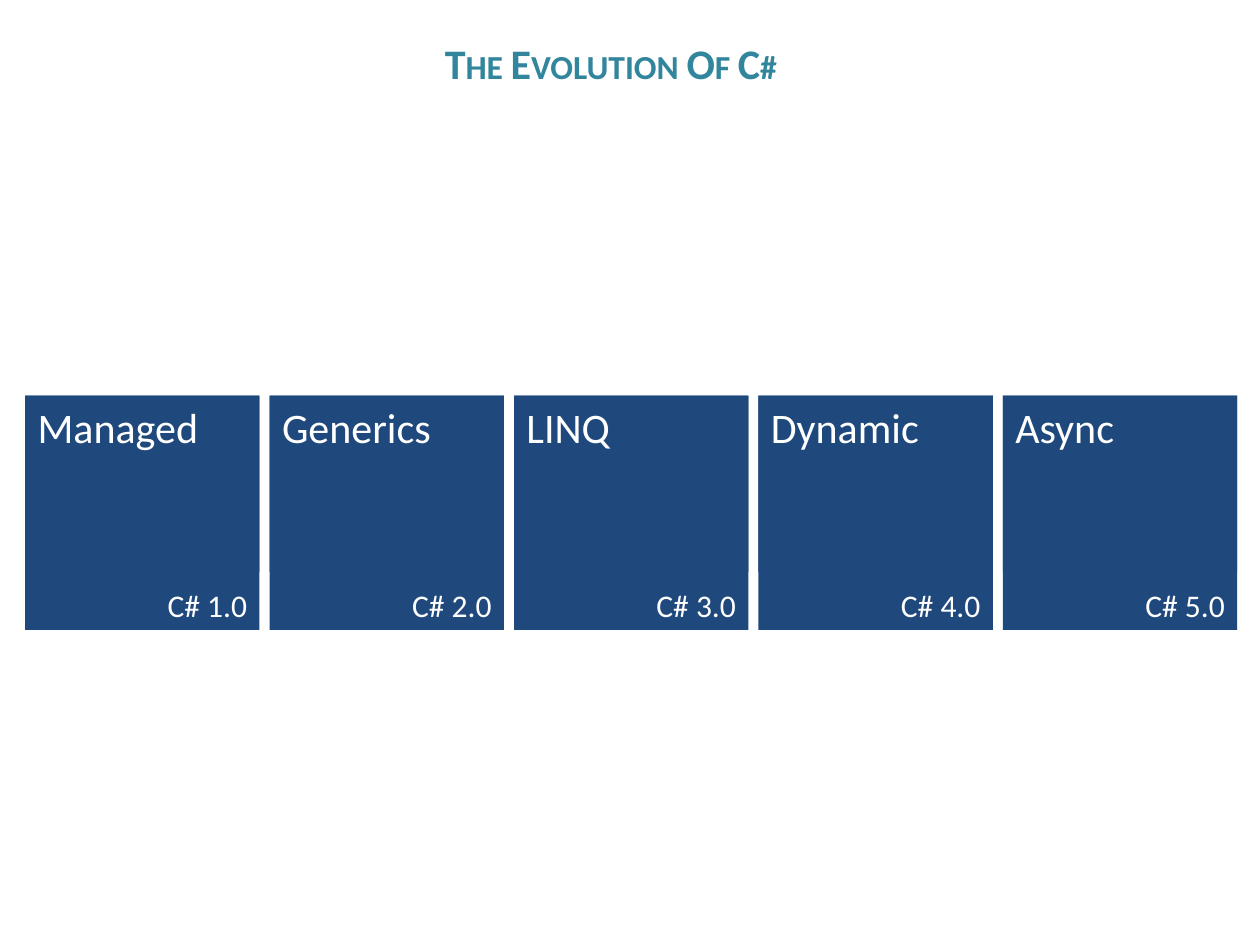
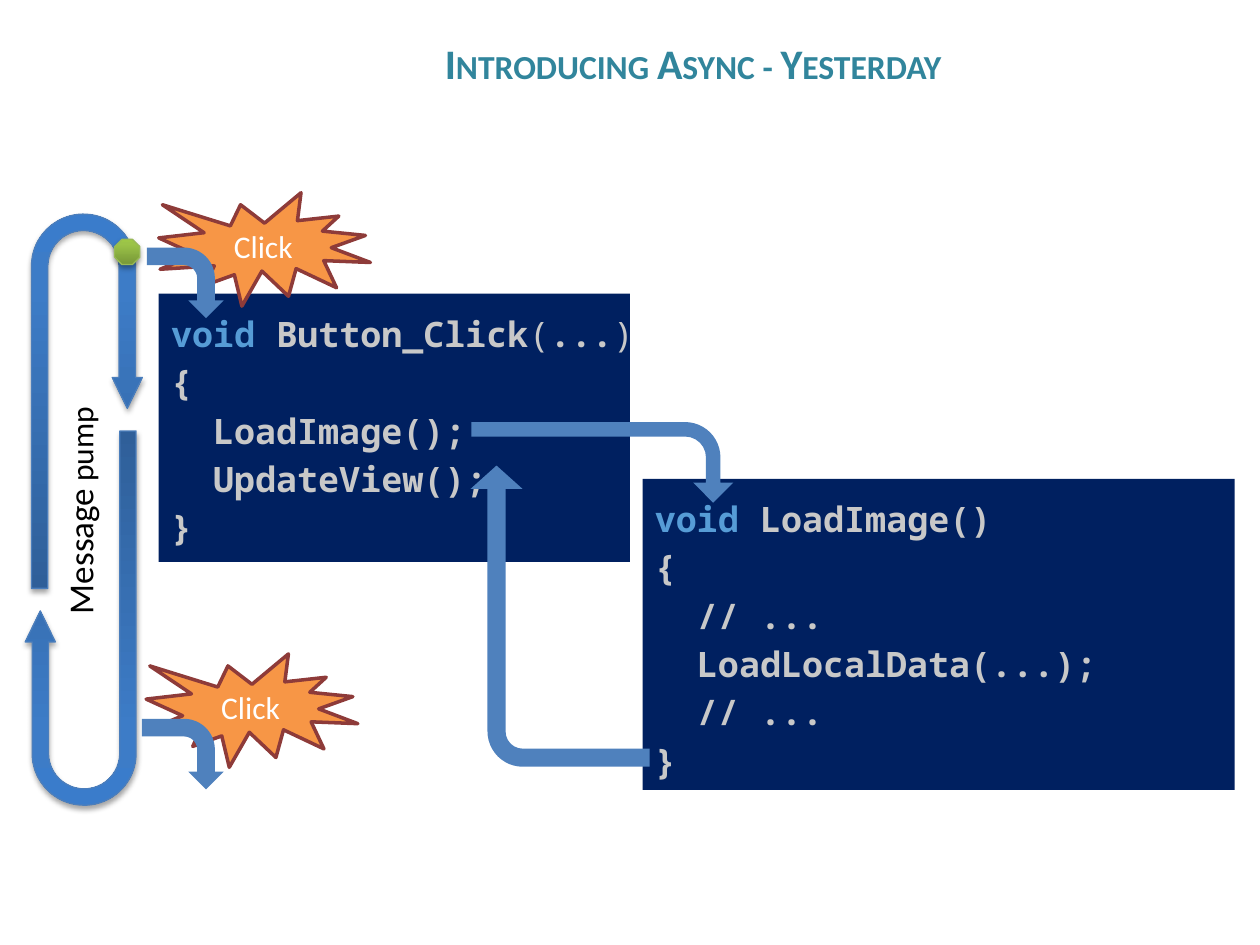
"""Builds two slides on the evolution of C# and its asynchronous calls."""
from copy import deepcopy

from lxml import etree
from pptx import Presentation
from pptx.dml.color import RGBColor
from pptx.enum.shapes import MSO_SHAPE
from pptx.enum.text import MSO_ANCHOR, MSO_AUTO_SIZE, PP_ALIGN
from pptx.oxml.ns import qn
from pptx.util import Inches, Pt

RECTANGLE, OCTAGON = MSO_SHAPE.RECTANGLE, MSO_SHAPE.OCTAGON
BURST, BENT_ARROW, U_TURN = MSO_SHAPE.EXPLOSION1, MSO_SHAPE.BENT_ARROW, MSO_SHAPE.U_TURN_ARROW
TOP, MIDDLE, BOTTOM = MSO_ANCHOR.TOP, MSO_ANCHOR.MIDDLE, MSO_ANCHOR.BOTTOM
LEFT, CENTER, RIGHT = PP_ALIGN.LEFT, PP_ALIGN.CENTER, PP_ALIGN.RIGHT
GROW = MSO_AUTO_SIZE.SHAPE_TO_FIT_TEXT

BODY_FONT, CODE_FONT = "Calibri", "Noto Sans Mono"
COLORS = {
    "title": "31859C", "tile": "1F497D", "white": "FFFFFF", "black": "000000",
    "burst": "F79646", "burst_edge": "8E3B39", "arrow": "4F81BD",
    "code_back": "002060", "keyword": "569CD6", "code": "C8C8C8",
    "loop_edge": "4B7EBC", "marker_edge": "98B955",
}
LOOP_GRADIENT = ("2F5F99", "3D7CC7", "3A7CCB")
MARKER_GRADIENT = ("779737", "9BC348", "9DC746")
GRADIENT_POSITIONS = (0, 0.8, 1)

FEATURES = ("Managed", "Generics", "LINQ", "Dynamic", "Async")
TILE_LEFT, TILE_TOP, TILE_SIZE, TILE_STEP, LABEL_HEIGHT = 0.2, 3.14, 1.86, 1.94, 1.4
LOOP_ADJUSTMENTS = (0.147, 0.136, 0.279, 0.469, 0.519)

BUTTON_CLICK = (
    (("void ", "keyword", True), ("Button_Click", "code", True), ("(", "code", False),
     ("...", "code", True), (")", "code", False)),
    (("{", "code", True),),
    (("  LoadImage();", "code", True),),
    (("  UpdateView();", "code", True),),
    (("}", "code", True),),
)
LOAD_IMAGE = (
    (("void ", "keyword", True), ("LoadImage()", "code", True)),
    (("{", "code", True),),
    (("  // ...", "code", True),),
    (("  LoadLocalData(...);", "code", True),),
    (("  // ...", "code", True),),
    (("}", "code", True),),
)


def rgb(name):
    """Return the named colour."""
    return RGBColor.from_string(COLORS[name])


def add_run(paragraph, text, size, color, font=BODY_FONT, bold=False):
    """Append a formatted run to a paragraph."""
    run = paragraph.add_run()
    run.text = text
    run.font.size = Pt(size)
    run.font.name = font
    run.font.bold = bold
    run.font.color.rgb = rgb(color)
    return run


def add_titled_slide(deck, text):
    """Add a slide with the shared small-caps title."""
    slide = deck.slides.add_slide(deck.slide_layouts[5])
    title = slide.shapes.title
    title.left, title.top, title.width, title.height = map(Inches, (3.43, 0, 6.57, 0.99))
    title.text_frame.vertical_anchor = MIDDLE
    paragraph = title.text_frame.paragraphs[0]
    paragraph.alignment = LEFT
    run = add_run(paragraph, text, 24, "title", bold=True)
    run.font._element.set("cap", "small")
    return slide


def add_figure(slide, kind, box, fill=None, rotation=0, adjustments=()):
    """Add a flat preset shape without an outline."""
    figure = slide.shapes.add_shape(kind, *map(Inches, box))
    figure.shadow.inherit = False
    figure.line.fill.background()
    figure.rotation = rotation
    for index, value in enumerate(adjustments):
        figure.adjustments[index] = value
    if fill:
        figure.fill.solid()
        figure.fill.fore_color.rgb = rgb(fill)
    return figure


def outline(figure, color, width):
    """Give a shape a solid outline."""
    figure.line.color.rgb = rgb(color)
    figure.line.width = Pt(width)


def add_glossy(slide, kind, box, gradient, edge, rotation=0, adjustments=()):
    """Add a shape with an upward gradient, thin outline and soft shadow."""
    figure = add_figure(slide, kind, box, None, rotation, adjustments)
    figure.fill.gradient()
    figure.fill.gradient_angle = 90
    properties = figure._element.spPr
    stop_list = properties.find(".//" + qn("a:gsLst"))
    stop_list.append(deepcopy(stop_list[-1]))
    for stop, position, color in zip(figure.fill.gradient_stops, GRADIENT_POSITIONS, gradient):
        stop.position = position
        stop.color.rgb = RGBColor.from_string(color)
    outline(figure, edge, 0.75)
    shadow = etree.SubElement(
        properties.find(qn("a:effectLst")), qn("a:outerShdw"),
        blurRad=str(Pt(3.1)), dist=str(Pt(1.8)), dir="5400000", rotWithShape="0")
    shade = etree.SubElement(shadow, qn("a:srgbClr"), val=COLORS["black"])
    etree.SubElement(shade, qn("a:alpha"), val="35000")


def write_label(figure, text, size, anchor, alignment):
    """Write one white line in a shape."""
    figure.text_frame.vertical_anchor = anchor
    paragraph = figure.text_frame.paragraphs[0]
    paragraph.alignment = alignment
    add_run(paragraph, text, size, "white")


def add_burst(slide, left, top):
    """Add a click burst."""
    burst = add_figure(slide, BURST, (left, top, 1.68, 0.9), "burst")
    outline(burst, "burst_edge", 2)
    write_label(burst, "Click", 18, MIDDLE, CENTER)


def add_code(slide, box, lines):
    """Add a dark panel of highlighted code."""
    frame = add_figure(slide, RECTANGLE, box, "code_back").text_frame
    frame.word_wrap = False
    frame.vertical_anchor = TOP
    frame.margin_left = frame.margin_right = Inches(0.1)
    frame.margin_top = frame.margin_bottom = Inches(0.1)
    for index, line in enumerate(lines):
        paragraph = frame.add_paragraph() if index else frame.paragraphs[0]
        paragraph.alignment = LEFT
        paragraph.line_spacing = 1.15
        for text, color, bold in line:
            add_run(paragraph, text, 20, color, CODE_FONT, bold)


def add_pump_label(slide):
    """Add the vertical caption of the message loop."""
    caption = slide.shapes.add_textbox(*map(Inches, (-1.41, 3.83, 4.08, 0.44)))
    caption.rotation = 270
    frame = caption.text_frame
    frame.word_wrap = True
    frame.auto_size = GROW
    frame.vertical_anchor = MIDDLE
    paragraph = frame.paragraphs[0]
    paragraph.alignment = CENTER
    add_run(paragraph, "Message", 20, "black")
    add_run(paragraph, " pump", 18, "black")


def build_evolution(deck):
    """Build the row of language versions."""
    slide = add_titled_slide(deck, "The Evolution Of C#")
    lefts = [TILE_LEFT + TILE_STEP * index for index in range(len(FEATURES))]
    for version, left in enumerate(lefts, 1):
        tile = add_figure(slide, RECTANGLE, (left, TILE_TOP, TILE_SIZE, TILE_SIZE), "tile")
        write_label(tile, f"C# {version}.0", 18, BOTTOM, RIGHT)
    for feature, left in zip(FEATURES, lefts):
        heading = add_figure(slide, RECTANGLE, (left, TILE_TOP, TILE_SIZE, LABEL_HEIGHT), "tile")
        write_label(heading, feature, 24, TOP, LEFT)


def build_yesterday(deck):
    """Build the blocking call diagram."""
    slide = add_titled_slide(deck, "Introducing Async - Yesterday")
    add_burst(slide, 1.16, 5.19)
    add_code(slide, (5.1, 3.8, 4.7, 2.47), LOAD_IMAGE)
    add_code(slide, (1.26, 2.33, 3.74, 2.13), BUTTON_CLICK)
    add_burst(slide, 1.26, 1.53)
    for left, top, rotation in ((0.25, 1.7, 0), (0.2, 3.42, 180)):
        add_glossy(slide, U_TURN, (left, top, 0.88, 2.97), LOOP_GRADIENT, "loop_edge",
                   rotation, LOOP_ADJUSTMENTS)
    add_pump_label(slide)
    call_arrows = (
        ((1.19, 1.94, 0.56, 0.61), 90, ()),
        ((4.46, 2.63, 0.64, 2.08), 90, (0.18, 0.25, 0.25, 0.438)),
        ((3.25, 4.18, 2.39, 1.42), 270, (0.101, 0.145, 0.13, 0.197)),
        ((1.17, 5.66, 0.56, 0.65), 90, ()),
    )
    for box, rotation, adjustments in call_arrows:
        add_figure(slide, BENT_ARROW, box, "arrow", rotation, adjustments)
    add_glossy(slide, OCTAGON, (0.91, 1.9, 0.2, 0.2), MARKER_GRADIENT, "marker_edge")


def main():
    """Build and save the deck."""
    deck = Presentation()
    deck.slide_width, deck.slide_height = Inches(10), Inches(7.5)
    build_evolution(deck)
    build_yesterday(deck)
    deck.save("out.pptx")


if __name__ == "__main__":
    main()
